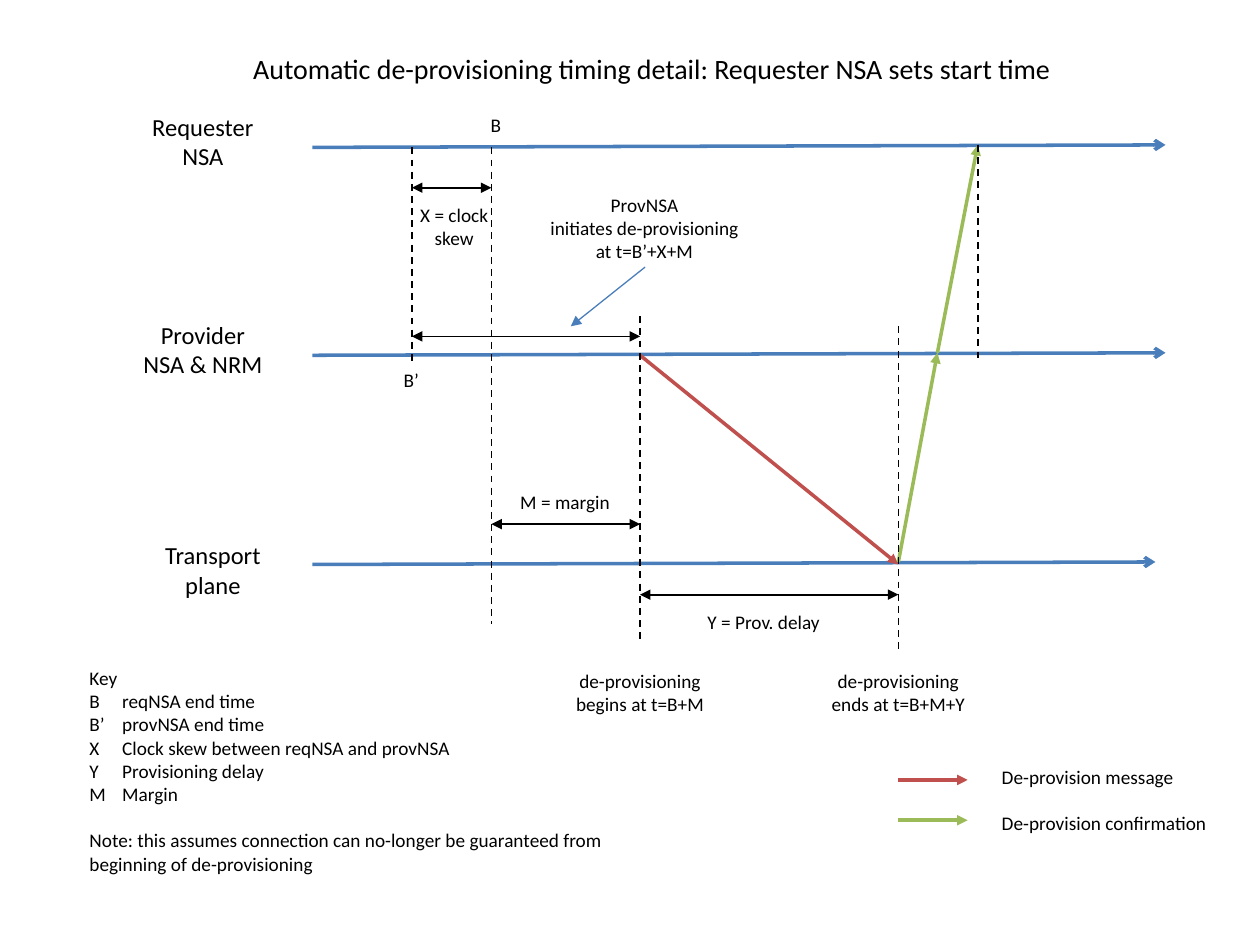
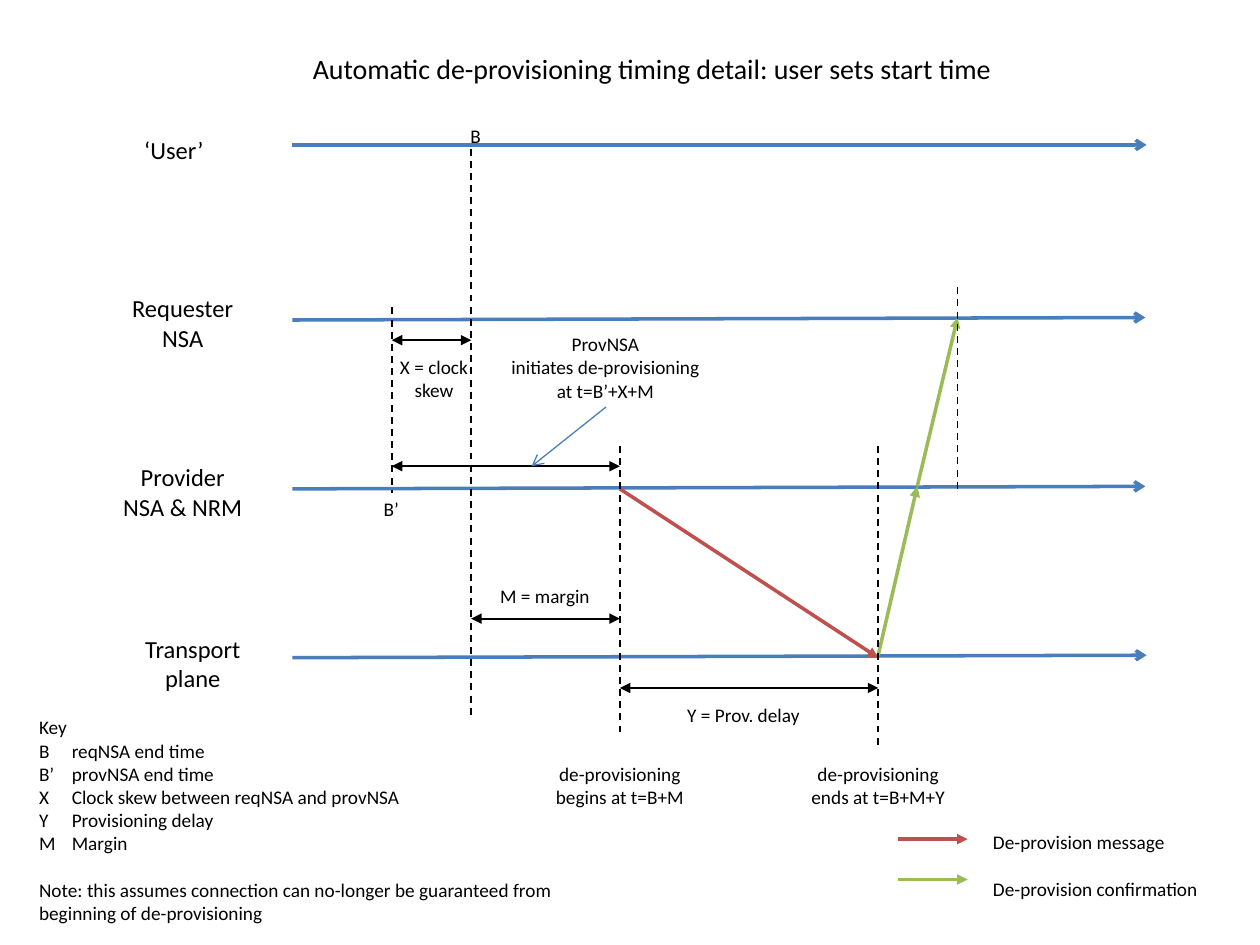
from dataclasses import dataclass

from lxml.etree import SubElement
from pptx import Presentation
from pptx.dml.color import RGBColor
from pptx.enum.dml import MSO_LINE_DASH_STYLE as Dash
from pptx.enum.shapes import MSO_CONNECTOR as Link
from pptx.enum.text import PP_ALIGN as Align
from pptx.oxml.ns import qn
from pptx.util import Inches, Pt

BLACK, BLUE, RED, GREEN = "000000", "4A7EBB", "C0504D", "9BBB59"
KEY = ["Key", "B\treqNSA end time", "B’\tprovNSA end time",
       "X\tClock skew between reqNSA and provNSA",
       "Y\tProvisioning delay", "M\tMargin"]
NOTE = ("Note: this assumes connection can no-longer be guaranteed "
        "from beginning of de-provisioning")


def tint(code):
    return RGBColor.from_string(code)


class Page:
    font = "Calibri"
    small, mid, large = 11, 14, 16
    gap = 13.4  # one line of small text, in points

    def __init__(self, deck):
        self.deck = deck
        self.slide = None

    def start(self):
        self.slide = self.deck.slides.add_slide(self.deck.slide_layouts[6])

    def line(self, x1, y1, x2, y2, color=BLACK, width=1.0,
             head=None, tail=None, dash=False):
        """Draw a line; head and tail name the arrow at its start and end."""
        link = self.slide.shapes.add_connector(
            Link.STRAIGHT, *map(Inches, (x1, y1, x2, y2)))
        link.line.color.rgb = tint(color)
        link.line.width = Pt(width)
        if dash:
            link.line.dash_style = Dash.DASH
        stroke = link.line._get_or_add_ln()
        for tag, kind in (("a:headEnd", head), ("a:tailEnd", tail)):
            if kind:
                SubElement(stroke, qn(tag), type=kind)
        SubElement(link._element.spPr, qn("a:effectLst"))

    def dash(self, x, span):
        self.line(x, span[0], x, span[1], dash=True)

    def span(self, x1, x2, y):
        """Draw a two-headed measure between two times."""
        self.line(x1, y, x2, y, head="triangle", tail="triangle")

    def send(self, x1, y1, x2, y2, color):
        """Draw a message arrow."""
        self.line(x1, y1, x2, y2, color, 2, tail="triangle")

    def text(self, x, y, w, h, paras, size=small, align=Align.CENTER,
             pad=(0.04, 0.04), gaps=(), tab=None):
        """Add a text box; gaps holds the indexes of spaced paragraphs."""
        box = self.slide.shapes.add_textbox(*map(Inches, (x, y, w, h)))
        frame = box.text_frame
        frame.word_wrap = True
        frame.margin_left = frame.margin_right = Inches(pad[0])
        frame.margin_top = frame.margin_bottom = Inches(pad[1])
        for i, words in enumerate(paras):
            para = frame.paragraphs[0] if i == 0 else frame.add_paragraph()
            para.alignment = align
            if tab:
                stops = SubElement(para._p.get_or_add_pPr(), qn("a:tabLst"))
                SubElement(stops, qn("a:tab"), pos=str(Inches(tab)), algn="l")
            if i in gaps:
                para.space_before = Pt(self.gap)
            for j, part in enumerate(words.split("\n")):
                if j:
                    para.add_line_break()
                run = para.add_run()
                run.text = part
                run.font.size = Pt(size)
                run.font.name = self.font
                run.font.color.rgb = tint(BLACK)

    def title(self, words):
        self.text(1.69, 0.36, 6.97, 0.37, [words], self.large, pad=(0.1, 0.05))

    def label(self, x, y, words, h=0.57):
        self.text(x, y, 1.42, h, [words], self.mid, pad=(0.1, 0.05))

    def lane(self, x1, x2, y, drop=0.02):
        """Draw a time line that rises by drop towards its tip."""
        self.line(x1, y + drop, x2, y, BLUE, 2, tail="arrow")

    def key(self, x, y):
        self.text(x, y, 4.33, 1.73, KEY + [NOTE], align=Align.LEFT,
                  gaps=[len(KEY)], tab=0.26)

    def legend(self, x, y, top):
        for i, color in enumerate((RED, GREEN)):
            self.send(7.13, y + 0.32 * i, 7.68, y + 0.32 * i, color)
        self.text(x, top, 1.81, 0.81,
                  ["De-provision message", "De-provision confirmation"],
                  align=Align.LEFT, gaps=[1])


@dataclass
class Plan:
    """Places that differ between the timing diagrams, in inches."""
    title: str
    shift: float     # sideways move of all times
    lanes: tuple     # y of requester, provider, transport
    tags: tuple      # tops of their labels
    tip: float       # right end of the transport lane
    skew: float      # y of the four measures
    wait: float
    margin: float
    delay: float
    dashes: tuple    # spans at skew, start, begin, end, confirm
    call: tuple      # callout corner
    arrow: str
    mark: float      # top of the letter B
    key: tuple
    legend: tuple


def draw(page, plan):
    times = [t + plan.shift for t in (2.48, 3.27, 3.9, 5.08, 7.13, 7.44, 7.76)]
    left, skew, start, begin, end, relay, done = times
    req, prov, plane = plan.lanes
    page.start()
    page.title(plan.title)

    names = ("Requester\nNSA", "Provider\nNSA & NRM", "Transport\nplane")
    tips = (9.25 + plan.shift, 9.25 + plan.shift, plan.tip)
    moves = (0, 0, 0.08)
    for name, y, top, tip, move in zip(names, plan.lanes, plan.tags,
                                       tips, moves):
        page.lane(left, tip, y)
        page.label(0.9 + plan.shift + move, top, name)

    page.send(begin, prov + 0.02, end, plane + 0.02, RED)
    page.send(end, plane, relay, prov, GREEN)
    page.send(relay, prov, done, req, GREEN)
    for x, span in zip((skew, start, begin, end, done), plan.dashes):
        page.dash(x, span)
    page.span(skew, start, plan.skew)
    page.span(skew, begin, plan.wait)
    page.span(start, begin, plan.margin)
    page.span(begin, end, plan.delay)

    page.text(skew - 0.1, plan.skew + 0.08, 0.87, 0.45, ["X = clock skew"])
    page.text(start + 0.15, plan.margin - 0.31, 0.87, 0.26, ["M = margin"])
    page.text(begin + 0.47, plan.delay + 0.08, 1.02, 0.26, ["Y = Prov. delay"])
    page.text(start - 0.16, plan.mark, 0.39, 0.26, ["B"])
    page.text(skew - 0.24, plan.dashes[0][1], 0.47, 0.26, ["B’"])
    for x, words in ((begin, "begins at t=B+M"), (end, "ends at t=B+M+Y")):
        page.text(x - 0.63, plan.delay + 0.55, 1.26, 0.45,
                  ["de-provisioning\n" + words])

    x, y = plan.call
    page.text(x, y, 1.65, 0.63,
              ["ProvNSA\ninitiates de-provisioning at t=B’+X+M"])
    page.line(x + 0.83, y + 0.63, x + 0.24, y + 1.1, BLUE, 0.75,
              tail=plan.arrow)
    page.key(*plan.key)
    page.legend(*plan.legend)


def main():
    deck = Presentation()
    deck.slide_width, deck.slide_height = Inches(10), Inches(7.5)
    page = Page(deck)
    lead = "Automatic de-provisioning timing detail: "

    draw(page, Plan(
        title=lead + "Requester NSA sets start time", shift=0,
        lanes=(1.15, 2.8, 4.46), tags=(0.84, 2.49, 4.24), tip=9.17,
        skew=1.49, wait=2.67, margin=4.16, delay=4.72,
        dashes=((1.17, 2.88), (1.17, 4.95), (2.51, 5.11), (2.59, 5.19),
                (1.15, 2.88)),
        call=(4.29, 1.49), arrow="triangle", mark=0.86,
        key=(0.67, 5.25), legend=(7.91, 6.19, 6.03)))

    draw(page, Plan(
        title=lead + "user sets start time", shift=-0.16,
        lanes=(2.52, 3.86, 5.2), tags=(2.28, 3.62, 4.98), tip=9.1,
        skew=2.7, wait=3.7, margin=4.91, delay=5.46,
        dashes=((2.44, 3.91), (1.18, 5.69), (3.54, 5.85), (3.54, 5.93),
                (2.28, 3.92)),
        call=(3.98, 2.6), arrow="arrow", mark=0.95,
        key=(0.27, 5.64), legend=(7.84, 6.66, 6.55)))
    page.lane(2.32, 9.1, 1.15, drop=0)
    page.label(0.67, 1.02, "‘User’", h=0.34)

    deck.save("out.pptx")


if __name__ == "__main__":
    main()
